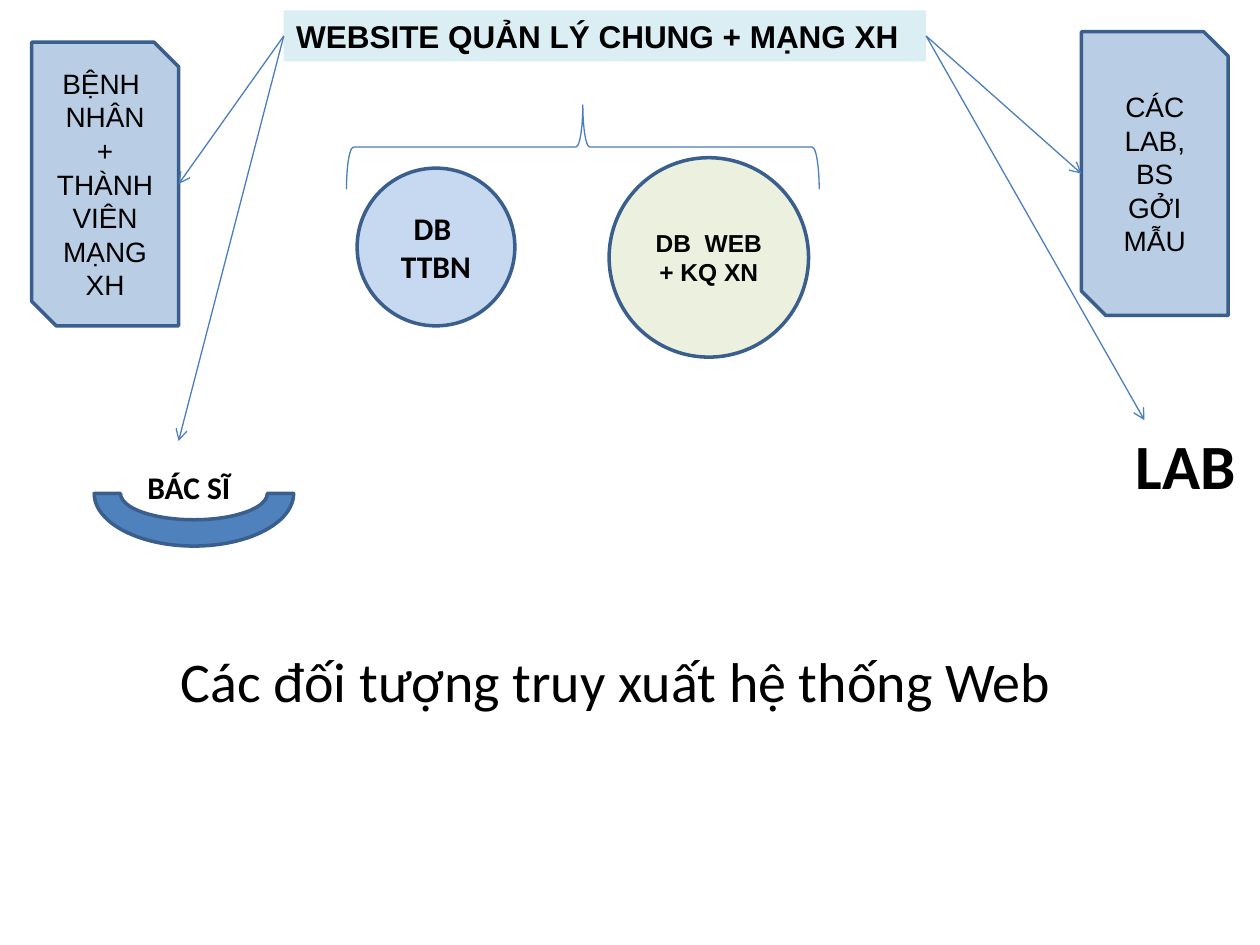
import pptx
import pptx.util
import pptx.dml.color
import pptx.enum.shapes
import pptx.enum.text
import pptx.oxml.ns
from lxml import etree
from dataclasses import dataclass

Cm, Pt = pptx.util.Cm, pptx.util.Pt
RGB = pptx.dml.color.RGBColor.from_string
SHAPE = pptx.enum.shapes.MSO_SHAPE
ALIGN = pptx.enum.text.PP_ALIGN
qn = pptx.oxml.ns.qn


@dataclass(frozen=True)
class Theme:
    text: str = "000000"
    outline: str = "3A5F8C"
    link: str = "4B7EBC"
    arc: str = "4F81BD"
    patient_db: str = "C6D9F1"
    web_db: str = "EBF1DE"
    website: str = "DBEEF4"
    users: str = "B9CDE5"
    small: int = 14
    body: int = 16
    label: int = 18
    caption: int = 32
    large: int = 36


theme = Theme()


def write(shape, text, size, font="Calibri", bold=False, centred=False):
    """Fill a shape with text: centred and wrapped, or on one line that fits."""
    frame = shape.text_frame
    frame.text = text
    frame.word_wrap = centred
    if centred:
        frame.vertical_anchor = pptx.enum.text.MSO_ANCHOR.MIDDLE
    else:
        frame.vertical_anchor = pptx.enum.text.MSO_ANCHOR.TOP
        frame.auto_size = pptx.enum.text.MSO_AUTO_SIZE.SHAPE_TO_FIT_TEXT
    for paragraph in frame.paragraphs:
        paragraph.alignment = ALIGN.CENTER if centred else ALIGN.LEFT
        for run in paragraph.runs:
            run.font.name, run.font.size, run.font.bold = font, Pt(size), bold
            run.font.color.rgb = RGB(theme.text)


def add_block(kind, box, fill=None, line=None, width=2):
    block = slide.shapes.add_shape(kind, *map(Cm, box))
    block.shadow.inherit = False
    if fill:
        block.fill.solid()
        block.fill.fore_color.rgb = RGB(fill)
    else:
        block.fill.background()
    if line:
        block.line.color.rgb = RGB(line)
        block.line.width = Pt(width)
    else:
        block.line.fill.background()
    return block


deck = pptx.Presentation()
deck.slide_width, deck.slide_height = Cm(25.4), Cm(19.05)
slide = deck.slides.add_slide(deck.slide_layouts[6])

# Arc under the doctor label
doctor_arc = add_block(SHAPE.BLOCK_ARC, (1.9, 8.89, 4.02, 2.12), theme.arc, theme.outline)
doctor_arc._element.spPr.find(qn("a:xfrm")).set("flipV", "1")

# Free labels and the caption
for label, box, size, bold in (
    ("BÁC SĨ", (2.72, 9.31, 2.2, 1.02), theme.label, True),
    ("LAB", (22.65, 8.47, 2.54, 1.8), theme.large, True),
    ("Các đối tượng truy xuất hệ thống Web", (3.39, 12.9, 18.64, 1.62), theme.caption, False),
):
    write(slide.shapes.add_textbox(*map(Cm, box)), label, size, bold=bold)

# Databases
patient_db = add_block(SHAPE.OVAL, (7.2, 3.39, 3.18, 3.18), theme.patient_db, theme.outline)
write(patient_db, "DB  TTBN", theme.label, bold=True, centred=True)
web_db = add_block(SHAPE.OVAL, (12.28, 3.18, 4.02, 4.02), theme.web_db, theme.outline)
write(web_db, "DB  WEB + KQ XN", theme.small, font="Arial", bold=True, centred=True)

# Website bar and the brace that ties the databases to it
website = add_block(SHAPE.RECTANGLE, (5.72, 0.21, 12.95, 1.03), theme.website)
write(website, "WEBSITE QUẢN LÝ CHUNG + MẠNG XH", theme.label, font="Arial", bold=True)
brace = add_block(SHAPE.RIGHT_BRACE, (10.9, -1.8, 1.7, 9.53), line=theme.link, width=0.75)
brace.rotation = 270

# User groups
for group, left, top in (
    ("BỆNH \nNHÂN +\nTHÀNH VIÊN MẠNG XH", 0.64, 0.85),
    ("CÁC LAB, BS GỞI MẪU", 21.8, 0.64),
):
    card = add_block(SHAPE.SNIP_2_DIAG_RECTANGLE, (left, top, 2.96, 5.72),
                     theme.users, theme.outline)
    write(card, group, theme.body, font="Arial", centred=True)

# Arrows from the sides of the website bar (1 left, 3 right)
for side, end_x, end_y in ((1, 3.6, 8.89), (3, 23.07, 8.47), (1, 3.6, 3.71), (3, 21.8, 3.5)):
    access = slide.shapes.add_connector(
        pptx.enum.shapes.MSO_CONNECTOR.STRAIGHT, 0, 0, Cm(end_x), Cm(end_y))
    access.begin_connect(website, side)
    access.line.color.rgb = RGB(theme.link)
    access.line.width = Pt(0.75)
    etree.SubElement(access.line._get_or_add_ln(), qn("a:tailEnd"), type="arrow")
    etree.SubElement(access._element.spPr, qn("a:effectLst"))

deck.save("out.pptx")
